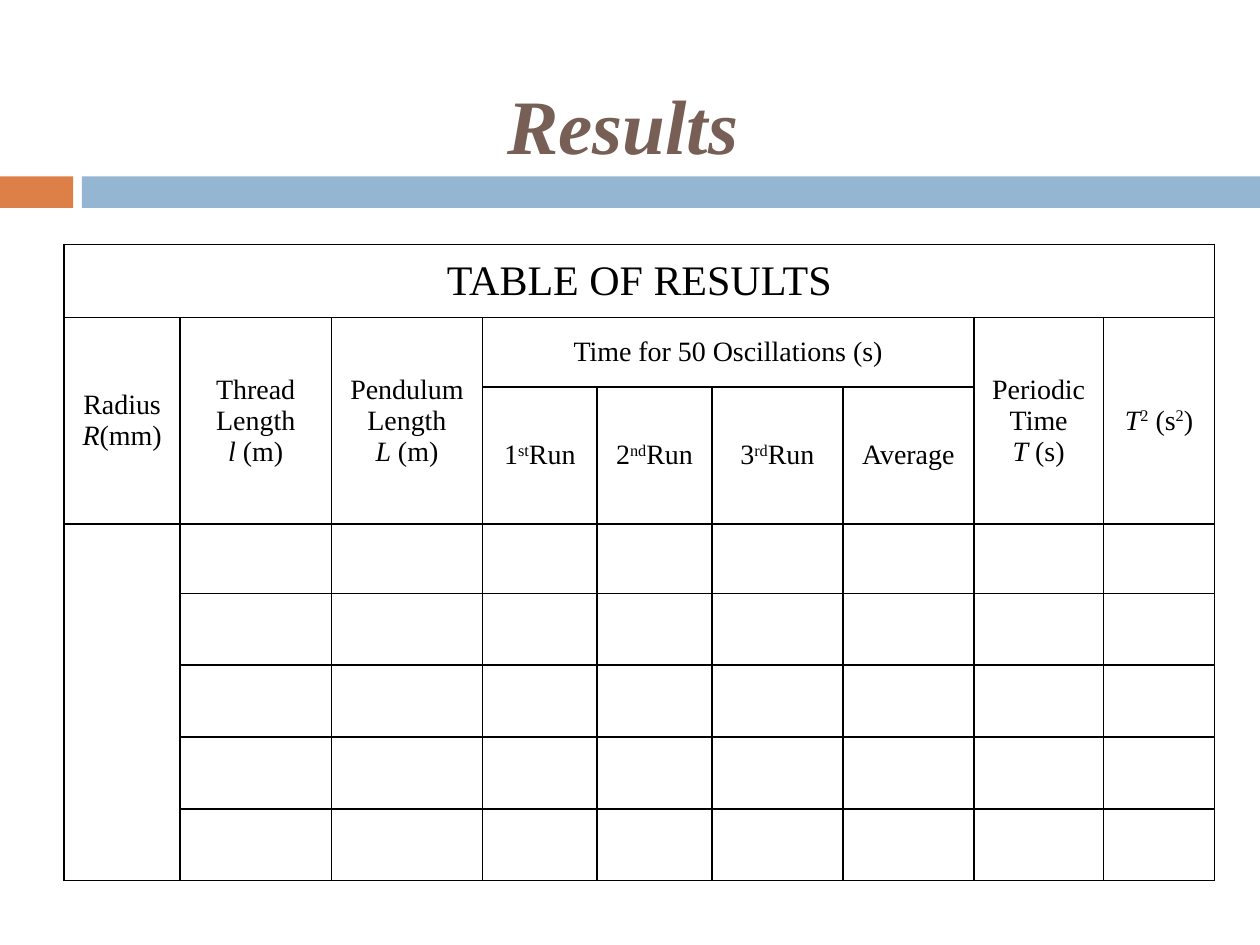
import pptx
import pptx.dml.color
import pptx.enum.shapes
import pptx.enum.text
import pptx.oxml
import pptx.oxml.ns
import pptx.util

Inches = pptx.util.Inches

# Content: each paragraph is a list of (text, style) runs
TITLE = "Results"
UNIT_HEADINGS = [  # column, name, symbol, unit
    (0, "Radius", "R", "(mm)"),
    (1, "Thread Length", "l", " (m)"),
    (2, "Pendulum Length", "L", " (m)"),
    (7, "Periodic Time", "T", " (s)"),
]
RUNS = [("1", "st"), ("2", "nd"), ("3", "rd")]
SQUARED = [("T", "italic"), ("2", "super"), (" (s", ""), ("2", "super"), (")", "")]

# Theme and grid
THEME = {
    "font": "Times New Roman", "title": "775F55", "text": "000000", "border": "000000",
    "accent": "DD8047", "band": "94B6D2",
    "title_size": 44, "caption_size": 24, "cell_size": 16, "border_width": 1,
}
COLUMNS = [0.92, 1.2, 1.2, 0.91, 0.91, 1.04, 1.04, 1.03, 0.88]
ROWS = [0.58, 0.55, 1.09, 0.55] + [0.57] * 4
TABLE_LEFT, TABLE_TOP = 0.51, 1.94
BAR_TOP, BAR_HEIGHT, BAR_SPLIT, BAR_GAP = 1.4, 0.25, 0.58, 0.07

# (row, column): (row span, column span, paragraphs, size key)
CELLS = {
    (0, 0): (1, 9, [[("TABLE OF RESULTS", "")]], "caption_size"),
    (1, 3): (1, 4, [[("Time for 50 Oscillations (s)", "")]], "cell_size"),
    (1, 8): (2, 1, [SQUARED], "cell_size"),
    (2, 6): (1, 1, [[("Average", "")]], "cell_size"),
    (3, 0): (5, 1, [], "cell_size"),
}
for column, name, symbol, unit in UNIT_HEADINGS:
    paragraphs = [[(name, "")], [(symbol, "italic"), (unit, "")]]
    CELLS[1, column] = (2, 1, paragraphs, "cell_size")
for column, (number, suffix) in enumerate(RUNS, start=3):
    CELLS[2, column] = (1, 1, [[(number, ""), (suffix, "super"), ("Run", "")]], "cell_size")


def write_text(frame, paragraphs, size, color, bold=False, italic=False):
    for index, runs in enumerate(paragraphs):
        paragraph = frame.add_paragraph() if index else frame.paragraphs[0]
        paragraph.alignment = pptx.enum.text.PP_ALIGN.CENTER
        for text, style in runs:
            run = paragraph.add_run()
            run.text = text
            run.font.name = THEME["font"]
            run.font.size = pptx.util.Pt(size)
            run.font.bold = bold
            run.font.italic = italic or style == "italic"
            run.font.color.rgb = pptx.dml.color.RGBColor.from_string(color)
            if style == "super":
                run._r.get_or_add_rPr().set("baseline", "30000")


def add_bar(slide, left, width, color):
    bar = slide.shapes.add_shape(
        pptx.enum.shapes.MSO_SHAPE.RECTANGLE,
        Inches(left), Inches(BAR_TOP), Inches(width), Inches(BAR_HEIGHT))
    bar.shadow.inherit = False
    bar.fill.solid()
    bar.fill.fore_color.rgb = pptx.dml.color.RGBColor.from_string(color)
    bar.line.fill.background()


def format_cell(cell):
    cell.vertical_anchor = pptx.enum.text.MSO_ANCHOR.MIDDLE
    cell.margin_left = cell.margin_right = Inches(0.07)
    cell.margin_top = cell.margin_bottom = 0
    cell.fill.background()
    properties = cell._tc.get_or_add_tcPr()
    for position, side in enumerate(("lnL", "lnR", "lnT", "lnB")):
        properties.insert(position, pptx.oxml.parse_xml(
            f'<a:{side} {pptx.oxml.ns.nsdecls("a")} w="{pptx.util.Pt(THEME["border_width"])}">'
            f'<a:solidFill><a:srgbClr val="{THEME["border"]}"/></a:solidFill></a:{side}>'))


presentation = pptx.Presentation()
presentation.slide_width, presentation.slide_height = Inches(10), Inches(7.5)
slide = presentation.slides.add_slide(presentation.slide_layouts[5])

# Title
title = slide.shapes.title
title.left, title.top = Inches(0.28), Inches(0.44)
title.width, title.height = Inches(9.33), Inches(1.08)
title.text_frame.vertical_anchor = pptx.enum.text.MSO_ANCHOR.MIDDLE
write_text(title.text_frame, [[(TITLE, "")]], THEME["title_size"], THEME["title"],
           bold=True, italic=True)

# Two-part bar, behind the title
band_left = BAR_SPLIT + BAR_GAP
add_bar(slide, 0, BAR_SPLIT, THEME["accent"])
add_bar(slide, band_left, 10 - band_left, THEME["band"])
slide.shapes._spTree.append(title._element)

# Results table
table = slide.shapes.add_table(
    len(ROWS), len(COLUMNS), Inches(TABLE_LEFT), Inches(TABLE_TOP),
    Inches(sum(COLUMNS)), Inches(sum(ROWS))).table
table.first_row = table.horz_banding = False
for column, width in zip(table.columns, COLUMNS):
    column.width = Inches(width)
for row, height in zip(table.rows, ROWS):
    row.height = Inches(height)
for cell in table.iter_cells():
    format_cell(cell)
for (row, column), (row_span, column_span, paragraphs, size) in CELLS.items():
    cell = table.cell(row, column)
    if row_span * column_span > 1:
        cell.merge(table.cell(row + row_span - 1, column + column_span - 1))
    write_text(cell.text_frame, paragraphs, THEME[size], THEME["text"])

presentation.save("out.pptx")
